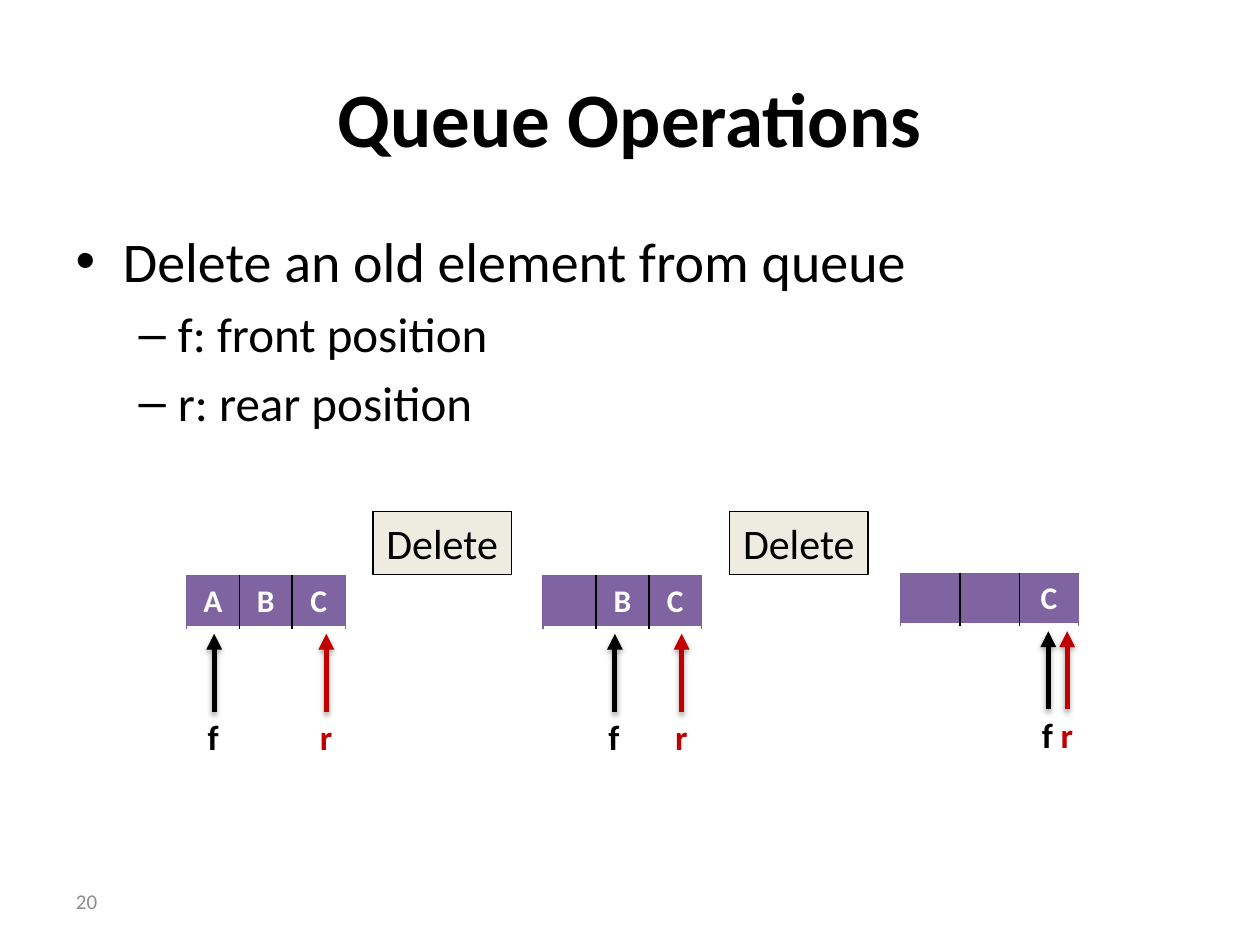
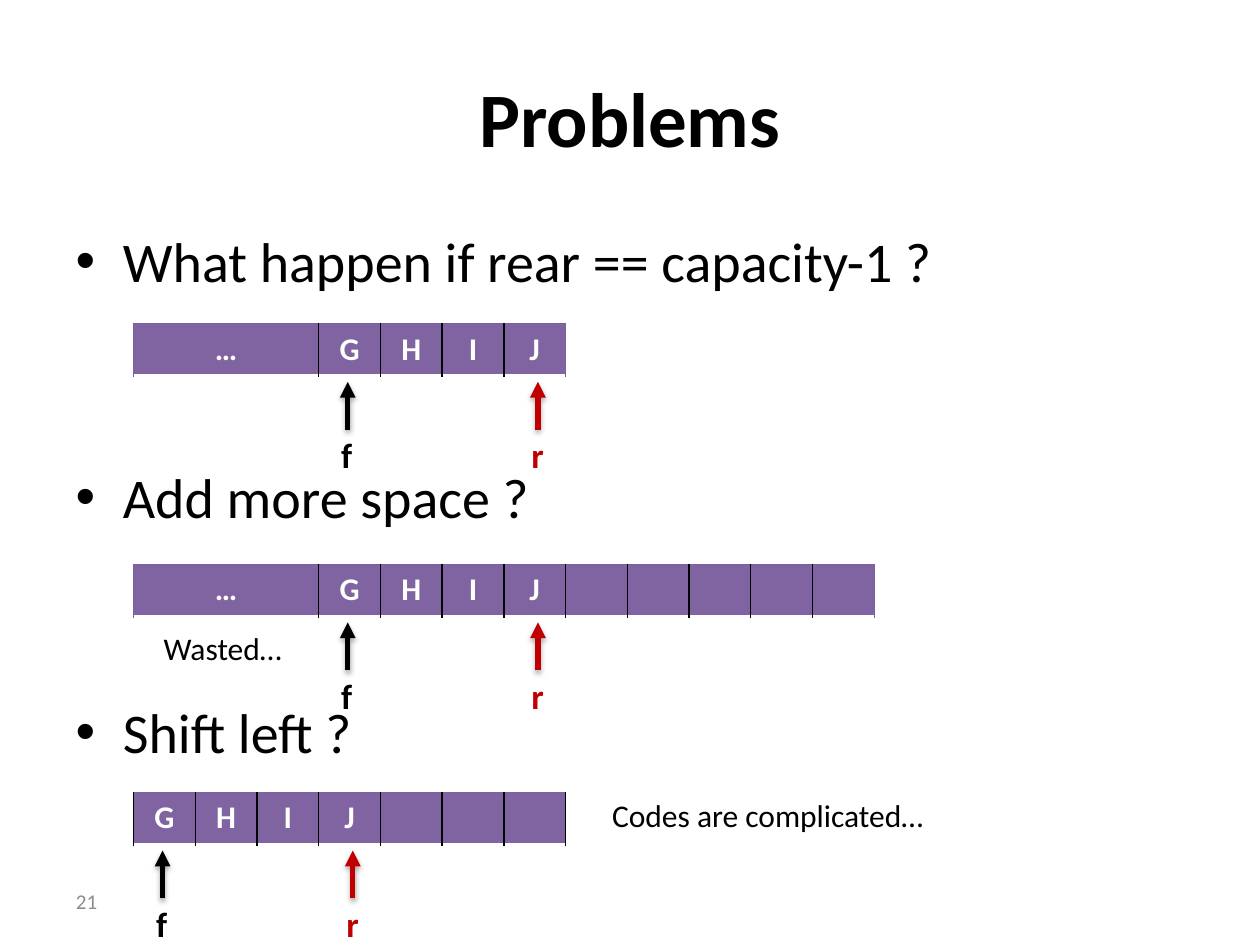
from lxml import etree
from pptx import Presentation
from pptx.dml.color import RGBColor
from pptx.enum.shapes import MSO_CONNECTOR, MSO_SHAPE
from pptx.enum.text import MSO_ANCHOR, MSO_AUTO_SIZE, PP_ALIGN
from pptx.oxml.ns import qn
from pptx.util import Inches, Pt

STRAIGHT, RECTANGLE = MSO_CONNECTOR.STRAIGHT, MSO_SHAPE.RECTANGLE
LEFT, CENTER, RIGHT = PP_ALIGN.LEFT, PP_ALIGN.CENTER, PP_ALIGN.RIGHT
TOP, MIDDLE = MSO_ANCHOR.TOP, MSO_ANCHOR.MIDDLE
NO_FIT, GROW = MSO_AUTO_SIZE.NONE, MSO_AUTO_SIZE.SHAPE_TO_FIT_TEXT

# Shared look
FONT = "Calibri"
BLACK, WHITE, RED = "000000", "FFFFFF", "C00000"
PURPLE, PURPLE_EDGE, CREAM, GREY = "8064A2", "7D60A0", "EEECE1", "8C8C8C"
BULLET_SIZES = (32, 28)
ROW_HEIGHT = 0.41
TIP_DROP = 0.46          # from the top of a queue to its arrow tips
WIDE_CELLS = 3           # the "…" cell spans this many cell widths
POINTER_COLORS = {"f": BLACK, "r": RED}

# Content: bullets are (level, text); queues give the x of each pointer
SLIDES = [
    {
        "number": "20",
        "title": "Queue Operations",
        "bullets": [(0, "Delete an old element from queue"),
                    (1, "f: front position"),
                    (1, "r: rear position")],
        "bullet_gap": None,
        "arrow_length": 0.62,
        "queues": [
            {"at": (1.48, 4.57), "cell": 0.42, "items": ["A", "B", "C"],
             "edge": PURPLE_EDGE, "pointers": {"f": 1.7, "r": 2.59}},
            {"at": (4.31, 4.57), "cell": 0.42, "items": ["", "B", "C"],
             "edge": PURPLE_EDGE, "pointers": {"f": 4.88, "r": 5.41}},
            {"at": (7.15, 4.55), "cell": 0.47, "items": ["", "", "C"],
             "edge": PURPLE_EDGE, "pointers": {"f": 8.32, "r": 8.47}},
        ],
        "operations": [("Delete", 2.96, 4.06), ("Delete", 5.79, 4.06)],
        "remarks": [],
    },
    {
        "number": "21",
        "title": "Problems",
        "bullets": [(0, "What happen if rear == capacity-1 ?"),
                    (0, "Add more space ?"),
                    (0, "Shift left ?")],
        "bullet_gap": 96,
        "arrow_length": 0.38,
        "queues": [
            {"at": (1.06, 2.57), "cell": 0.49, "items": ["…", *"GHIJ"],
             "edge": PURPLE_EDGE, "pointers": {"f": 2.76, "r": 4.27}},
            {"at": (1.06, 4.48), "cell": 0.49,
             "items": ["…", *"GHIJ"] + [""] * 5,
             "edge": PURPLE_EDGE, "pointers": {"f": 2.76, "r": 4.27}},
            {"at": (1.06, 6.29), "cell": 0.49, "items": [*"GHIJ"] + [""] * 3,
             "edge": BLACK, "pointers": {"f": 1.29, "r": 2.8}},
        ],
        "operations": [],
        "remarks": [("Wasted…", 1.2, 4.94, 1.16),
                    ("Codes are complicated…", 4.76, 6.27, 2.7)],
    },
]


def rgb(color):
    return RGBColor.from_string(color)


def style(paragraph, size, color=BLACK, bold=False, align=None):
    paragraph.font.name = FONT
    paragraph.font.size = Pt(size)
    paragraph.font.bold = bold
    paragraph.font.color.rgb = rgb(color)
    if align is not None:
        paragraph.alignment = align


def add_label(shapes, text, box, size, color=BLACK, bold=False, align=LEFT,
              anchor=TOP, fit=GROW):
    label = shapes.add_textbox(*map(Inches, box))
    frame = label.text_frame
    frame.text = text
    frame.word_wrap = False
    frame.auto_size = fit
    frame.vertical_anchor = anchor
    style(frame.paragraphs[0], size, color, bold, align)


def place(placeholder, left, top, width, height):
    placeholder.left, placeholder.top = Inches(left), Inches(top)
    placeholder.width, placeholder.height = Inches(width), Inches(height)
    placeholder.text_frame.auto_size = NO_FIT


# Title and bullet list
def fill_placeholders(slide, content):
    title, body = slide.placeholders
    place(title, 0.5, 0.3, 9, 1.25)
    title.text_frame.text = content["title"]
    style(title.text_frame.paragraphs[0], 44, bold=True, align=CENTER)

    place(body, 0.5, 1.75, 9, 4.95)
    frame = body.text_frame
    for index, (level, text) in enumerate(content["bullets"]):
        bullet = frame.add_paragraph() if index else frame.paragraphs[0]
        bullet.text, bullet.level = text, level
        style(bullet, BULLET_SIZES[level])
        if index and content["bullet_gap"]:
            bullet.space_before = Pt(content["bullet_gap"])


# Queue drawn as a one-row table
def set_borders(cell, borders):
    properties = cell._tc.get_or_add_tcPr()
    for side, (color, width) in borders.items():
        line = etree.SubElement(properties, qn(f"a:ln{side}"), w=str(Pt(width)))
        fill = etree.SubElement(line, qn("a:solidFill"))
        etree.SubElement(fill, qn("a:srgbClr"), val=color)


def add_queue(shapes, queue):
    left, top = queue["at"]
    items = queue["items"]
    widths = [queue["cell"] * (WIDE_CELLS if item == "…" else 1) for item in items]
    table = shapes.add_table(1, len(items), Inches(left), Inches(top),
                             Inches(sum(widths)), Inches(ROW_HEIGHT)).table
    table.first_row = table.horz_banding = False
    table.rows[0].height = Inches(ROW_HEIGHT)
    edge = (queue["edge"], 1 if queue["edge"] == BLACK else 0.75)
    inner = (BLACK, 1)
    for index, (item, width) in enumerate(zip(items, widths)):
        table.columns[index].width = Inches(width)
        cell = table.cell(0, index)
        cell.text = item
        style(cell.text_frame.paragraphs[0], 18, WHITE, True, CENTER)
        set_borders(cell, {
            "L": inner if index else edge,
            "R": inner if index < len(items) - 1 else edge,
            "T": (PURPLE_EDGE, 0.75),
            "B": (WHITE, 2),
        })
        cell.fill.solid()
        cell.fill.fore_color.rgb = rgb(PURPLE)


# Upward arrow with its letter below
def add_pointer(shapes, letter, x, tip, length):
    color = POINTER_COLORS[letter]
    base = tip + length
    pointer = shapes.add_group_shape().shapes
    arrow = pointer.add_connector(STRAIGHT, Inches(x), Inches(base),
                                  Inches(x), Inches(tip))
    arrow.line.color.rgb = rgb(color)
    arrow.line.width = Pt(3)
    etree.SubElement(arrow.line._get_or_add_ln(), qn("a:tailEnd"), type="triangle")
    effects = etree.SubElement(arrow._element.spPr, qn("a:effectLst"))
    shadow = etree.SubElement(effects, qn("a:outerShdw"), blurRad=str(Pt(3.1)),
                              dist=str(Pt(1.8)), dir="5400000", rotWithShape="0")
    shade = etree.SubElement(shadow, qn("a:srgbClr"), val=BLACK)
    etree.SubElement(shade, qn("a:alpha"), val="35000")
    add_label(pointer, letter, (x - 0.15, base - 0.02, 0.3, length * 0.71),
              20, color, bold=True)


def add_operation(shapes, text, left, top):
    operation = shapes.add_shape(RECTANGLE, Inches(left), Inches(top),
                                 Inches(1.1), Inches(0.5))
    operation.shadow.inherit = False
    operation.fill.solid()
    operation.fill.fore_color.rgb = rgb(CREAM)
    operation.line.color.rgb = rgb(BLACK)
    operation.line.width = Pt(0.75)
    frame = operation.text_frame
    frame.text = text
    frame.word_wrap = False
    frame.auto_size = GROW
    style(frame.paragraphs[0], 24, align=CENTER)


# Build the slides
deck = Presentation()
deck.slide_width, deck.slide_height = Inches(10), Inches(7.5)
for content in SLIDES:
    slide = deck.slides.add_slide(deck.slide_layouts[1])
    fill_placeholders(slide, content)
    for operation in content["operations"]:
        add_operation(slide.shapes, *operation)
    for queue in content["queues"]:
        add_queue(slide.shapes, queue)
        for letter, x in queue["pointers"].items():
            add_pointer(slide.shapes, letter, x, queue["at"][1] + TIP_DROP,
                        content["arrow_length"])
    for text, left, top, width in content["remarks"]:
        add_label(slide.shapes, text, (left, top, width, 0.4), 18)
    add_label(slide.shapes, content["number"], (0, 6.95, 0.87, 0.4), 12, GREY,
              align=RIGHT, anchor=MIDDLE, fit=NO_FIT)
deck.save("out.pptx")
